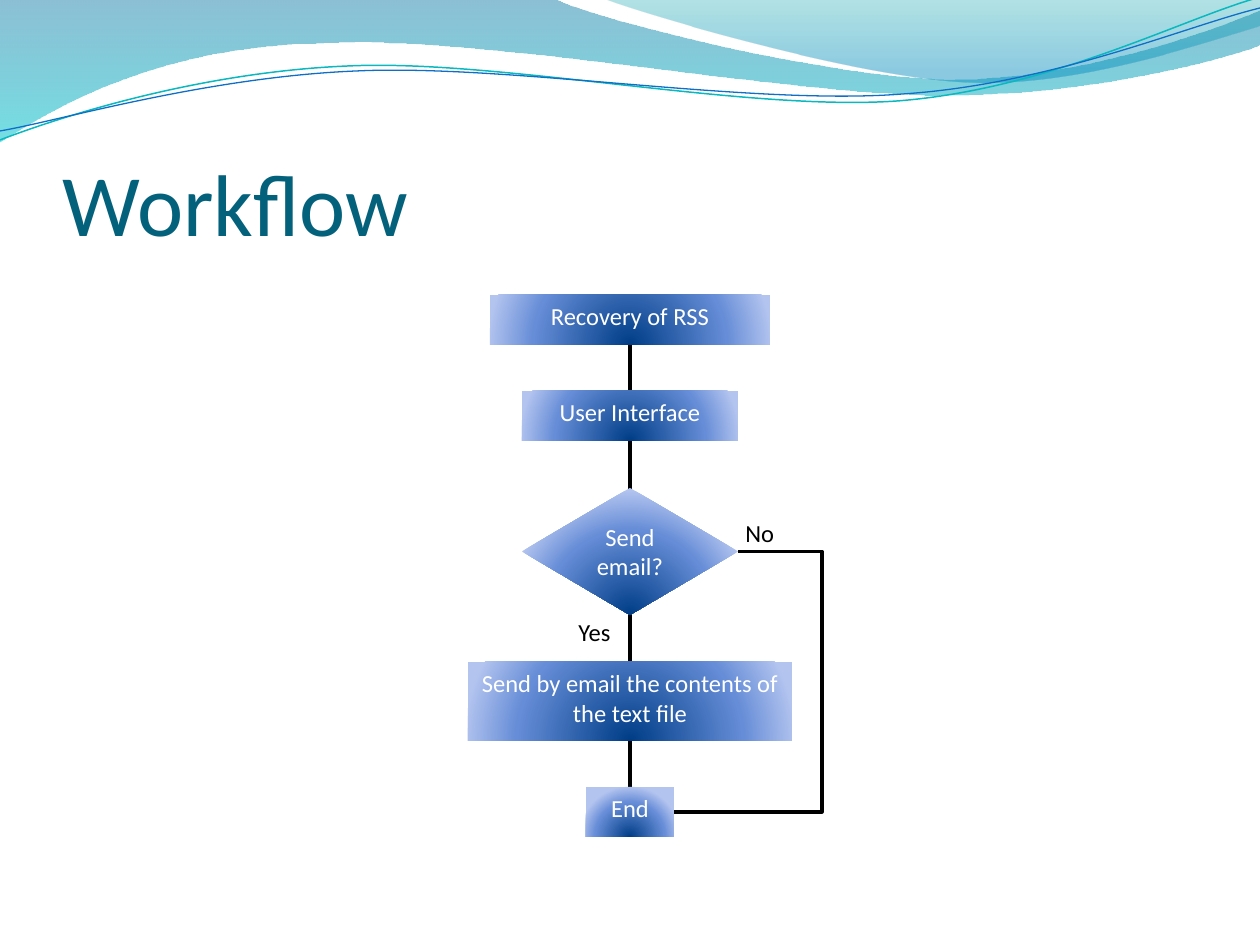
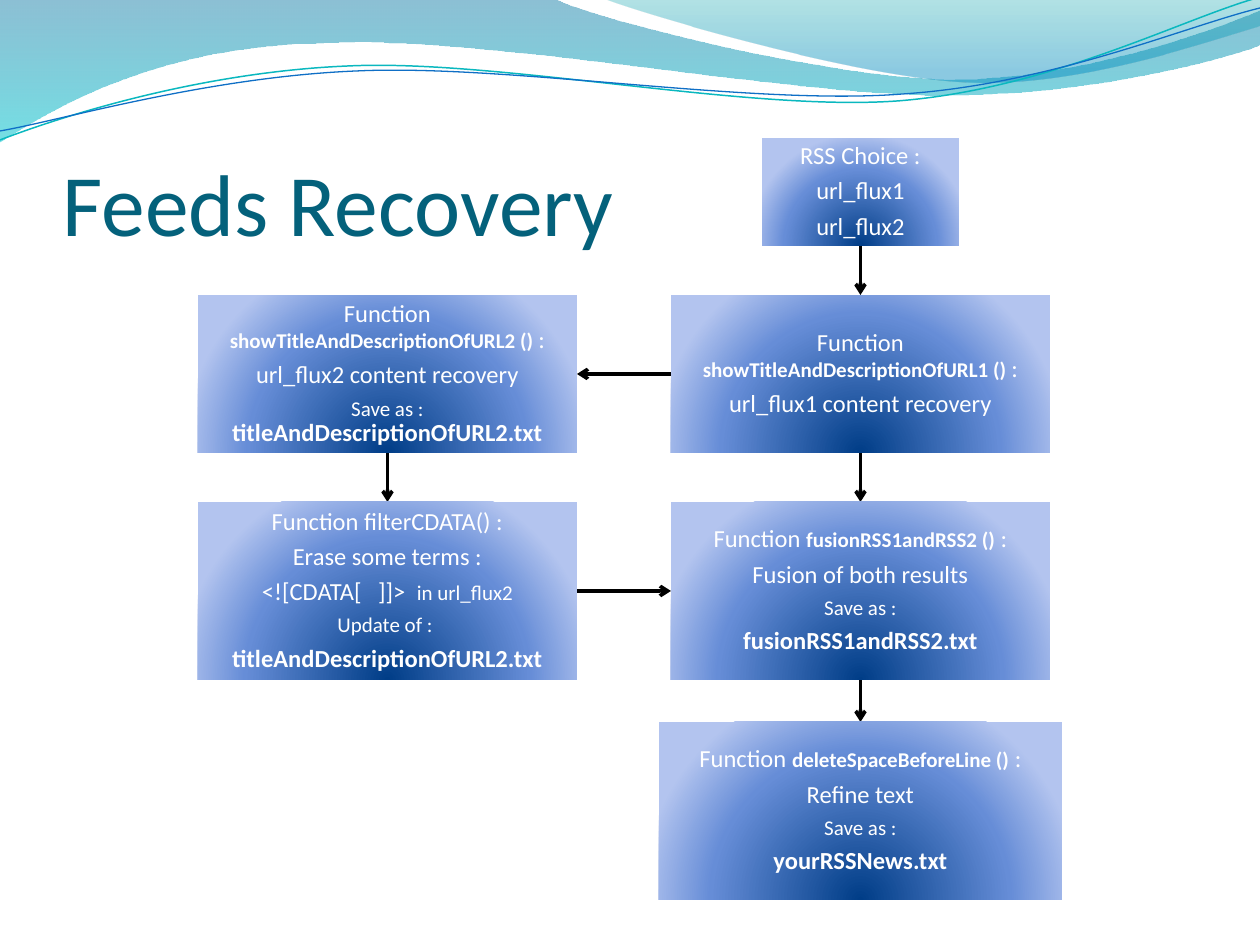
from dataclasses import dataclass

from lxml.etree import SubElement
from pptx import Presentation
from pptx.dml.color import RGBColor
from pptx.enum.shapes import MSO_CONNECTOR, MSO_SHAPE
from pptx.enum.text import MSO_ANCHOR, PP_ALIGN
from pptx.oxml import parse_xml
from pptx.oxml.ns import nsdecls, qn
from pptx.util import Inches, Pt


@dataclass(frozen=True)
class Theme:
    font: str = "Calibri"
    title: str = "04617B"
    text: str = "000000"
    box_text: str = "FFFFFF"
    connector: str = "000000"
    teal_line: str = "0AB8BF"
    blue_line: str = "0F6FC6"
    box_stops: tuple = ((0, "003D87", 100), (68, "668DD7", 100), (100, "B3C4EF", 100))
    wide_wave_stops: tuple = ((0, "0074A1", 45), (100, "00C6CF", 55))
    right_wave_stops: tuple = ((0, "00A1A9", 30), (80, "008BBF", 45))
    title_size: int = 50
    body_size: int = 14
    small_size: int = 12


THEME = Theme()
PX = Inches(10) // 1260
DOWNWARD = '<a:lin ang="5400000" scaled="1"/>'
GLOW_FROM_BELOW = (
    '<a:path path="circle"><a:fillToRect l="50000" t="130000" r="50000" b="-30000"/></a:path>'
)
TOP, LEFT, BOTTOM, RIGHT = range(4)


def fill_gradient(shape, stops, direction):
    stop_xml = "".join(
        f'<a:gs pos="{position * 1000}"><a:srgbClr val="{color}">'
        f'<a:alpha val="{alpha * 1000}"/></a:srgbClr></a:gs>'
        for position, color, alpha in stops
    )
    gradient = parse_xml(
        f'<a:gradFill {nsdecls("a")} rotWithShape="1">'
        f"<a:gsLst>{stop_xml}</a:gsLst>{direction}</a:gradFill>"
    )
    shape.fill.background()
    properties = shape.element.spPr
    properties.replace(properties.find(qn("a:noFill")), gradient)


def format_runs(paragraph, size, color):
    for run in paragraph.runs:
        run.font.name = THEME.font
        run.font.size = run.font.size or Pt(size)
        run.font.color.rgb = RGBColor.from_string(color)


waves = [
    ((0, 0), [
        [(554, -1)],
        [(600, 21), (837, 79), (955, 79)],
        [(1075, 79), (1207, 33), (1260, 11)],
        [(1261, 45)],
        [(1237, 55), (1096, 96), (940, 95)],
        [(784, 95), (481, 35), (324, 43)],
        [(163, 45), (58, 105), (-1, 142)],
    ], THEME.wide_wave_stops, None, 0),
    ((604, -1), [
        [(641, 14), (859, 78), (969, 82)],
        [(1079, 87), (1211, 40), (1260, 26)],
        [(1260, 0)],
    ], THEME.right_wave_stops, None, 0),
    ((0, 140), [
        [(60, 117), (199, 72), (349, 66)],
        [(498, 59), (747, 112), (898, 101)],
        [(1050, 89), (1182, 19), (1257, -2)],
    ], None, THEME.teal_line, 0.85),
    ((0, 131), [
        [(59, 121), (207, 77), (357, 71)],
        [(508, 64), (752, 106), (903, 94)],
        [(1053, 84), (1186, 26), (1260, 8)],
    ], None, THEME.blue_line, 0.75),
]

body = (THEME.body_size, False)
body_bold = (THEME.body_size, True)
small = (THEME.small_size, False)
small_bold = (THEME.small_size, True)

workflow_boxes = {
    "recovery": (MSO_SHAPE.RECTANGLE, 490, 295, 280, 50, [[("Recovery of RSS", body)]]),
    "interface": (MSO_SHAPE.RECTANGLE, 522, 391, 216, 50, [[("User Interface", body)]]),
    "decision": (MSO_SHAPE.DIAMOND, 522, 488, 216, 127, [[("Send email?", body)]]),
    "send": (MSO_SHAPE.RECTANGLE, 468, 662, 324, 79,
             [[("Send by email the contents of the text file", body)]]),
    "end": (MSO_SHAPE.RECTANGLE, 586, 787, 88, 50, [[("End", body)]]),
}
feed_boxes = {
    "choice": (MSO_SHAPE.RECTANGLE, 762, 138, 197, 108, [
        [("RSS Choice :", body)],
        [("url_flux1", body)],
        [("url_flux2", body)],
    ]),
    "first": (MSO_SHAPE.RECTANGLE, 671, 295, 379, 158, [
        [("Function ", body), ("showTitleAndDescriptionOfURL1 () ", small_bold), (":", body)],
        [("url_flux1 content recovery", body)],
    ]),
    "filter": (MSO_SHAPE.RECTANGLE, 198, 502, 379, 178, [
        [("Function filterCDATA() :", body)],
        [("Erase some terms :", body)],
        [("<![CDATA[   ]]>  ", body), ("in url_flux2", small)],
        [("Update of : ", small)],
        [("titleAndDescriptionOfURL2.txt", body_bold)],
    ]),
    "second": (MSO_SHAPE.RECTANGLE, 198, 295, 379, 158, [
        [("Function ", body), ("showTitleAndDescriptionOfURL2 () ", small_bold), (":", body)],
        [("url_flux2 content recovery", body)],
        [("Save as : ", small), ("titleAndDescriptionOfURL2.txt", body_bold)],
    ]),
    "fusion": (MSO_SHAPE.RECTANGLE, 671, 502, 379, 178, [
        [("Function ", body), ("fusionRSS1andRSS2 ()", small_bold), (" :", body)],
        [("Fusion of both results", body)],
        [("Save as :", small)],
        [("fusionRSS1andRSS2.txt", body_bold)],
    ]),
    "refine": (MSO_SHAPE.RECTANGLE, 659, 722, 403, 178, [
        [("Function ", body), ("deleteSpaceBeforeLine ()", small_bold), (" :", body)],
        [("Refine text", body)],
        [("Save as :", small)],
        [("yourRSSNews.txt", body_bold)],
    ]),
}
workflow_links = [
    ("recovery", BOTTOM, "end", TOP, MSO_CONNECTOR.STRAIGHT),
    ("decision", RIGHT, "end", RIGHT, MSO_CONNECTOR.ELBOW),
]
feed_links = [
    ("choice", BOTTOM, "first", TOP, MSO_CONNECTOR.STRAIGHT),
    ("first", LEFT, "second", RIGHT, MSO_CONNECTOR.STRAIGHT),
    ("first", BOTTOM, "fusion", TOP, MSO_CONNECTOR.STRAIGHT),
    ("second", BOTTOM, "filter", TOP, MSO_CONNECTOR.STRAIGHT),
    ("filter", RIGHT, "fusion", LEFT, MSO_CONNECTOR.STRAIGHT),
    ("fusion", BOTTOM, "refine", TOP, MSO_CONNECTOR.STRAIGHT),
]
workflow_labels = [("Yes", 566, 611, 59, 43), ("No", 733, 512, 54, 43)]
slides = [
    ("Workflow", workflow_boxes, workflow_links, workflow_labels, False),
    ("Feeds Recovery", feed_boxes, feed_links, [], True),
]

presentation = Presentation()
presentation.slide_width = 1260 * PX
presentation.slide_height = 945 * PX

for title, boxes, links, labels, is_detailed in slides:
    slide = presentation.slides.add_slide(presentation.slide_layouts[6])

    for start, segments, stops, line_color, line_width in waves:
        builder = slide.shapes.build_freeform(start[0] * PX, start[1] * PX, scale=1.0)
        for segment in segments:
            builder.add_line_segments([(x * PX, y * PX) for x, y in segment], close=False)
        if stops:
            builder.add_line_segments([], close=True)
        wave = builder.convert_to_shape()
        straight_lines = iter(list(wave.element.iter(qn("a:lnTo"))))
        for segment in segments:
            pieces = [next(straight_lines) for _ in segment]
            if len(pieces) == 3:
                curve = parse_xml(f'<a:cubicBezTo {nsdecls("a")}/>')
                pieces[0].addprevious(curve)
                for piece in pieces:
                    curve.append(piece[0])
                    piece.getparent().remove(piece)
        wave.shadow.inherit = False
        if stops:
            fill_gradient(wave, stops, DOWNWARD)
            wave.line.fill.background()
        else:
            wave.fill.background()
            wave.line.color.rgb = RGBColor.from_string(line_color)
            wave.line.width = Pt(line_width)

    title_box = slide.shapes.add_textbox(63 * PX, 97 * PX, 1134 * PX, 157 * PX)
    text_frame = title_box.text_frame
    text_frame.text = title
    text_frame.word_wrap = True
    text_frame.vertical_anchor = MSO_ANCHOR.BOTTOM
    text_frame.margin_left = text_frame.margin_right = text_frame.margin_bottom = 0
    format_runs(text_frame.paragraphs[0], THEME.title_size, THEME.title)

    shapes = {}
    for name, (kind, left, top, width, height, lines) in boxes.items():
        box = slide.shapes.add_shape(kind, left * PX, top * PX, width * PX, height * PX)
        box.shadow.inherit = False
        box.line.fill.background()
        fill_gradient(box, THEME.box_stops, GLOW_FROM_BELOW)
        text_frame = box.text_frame
        text_frame.word_wrap = True
        is_centered = is_detailed or kind == MSO_SHAPE.DIAMOND
        text_frame.vertical_anchor = MSO_ANCHOR.MIDDLE if is_centered else MSO_ANCHOR.TOP
        if is_detailed:
            text_frame.margin_left = text_frame.margin_right = 29 * PX
            text_frame.margin_top = text_frame.margin_bottom = 29 * PX
        text_frame.text = "\n".join("" for _ in lines)
        for paragraph, line in zip(text_frame.paragraphs, lines):
            paragraph.alignment = PP_ALIGN.CENTER
            for text, (size, bold) in line:
                run = paragraph.add_run()
                run.text = text
                run.font.size = Pt(size)
                run.font.bold = bold
            format_runs(paragraph, THEME.body_size, THEME.box_text)
            if is_detailed:
                paragraph.line_spacing = 0.9
                paragraph.space_after = Pt(5)
        shapes[name] = box

    first_box = next(iter(shapes.values()))
    for source, source_side, target, target_side, kind in links:
        connector = slide.shapes.add_connector(kind, 0, 0, 0, 0)
        connector.begin_connect(shapes[source], source_side)
        connector.end_connect(shapes[target], target_side)
        connector.line.color.rgb = RGBColor.from_string(THEME.connector)
        connector.line.width = Pt(2)
        properties = connector.element.spPr
        if is_detailed:
            SubElement(properties.find(qn("a:ln")), qn("a:tailEnd"), type="arrow")
        if kind == MSO_CONNECTOR.ELBOW:
            geometry = properties.find(qn("a:prstGeom"))
            adjustments = geometry.find(qn("a:avLst"))
            SubElement(adjustments, qn("a:gd"), name="adj1", fmla="val -131250")
        SubElement(properties, qn("a:effectLst"))
        first_box.element.addprevious(connector.element)

    for text, left, top, width, height in labels:
        label = slide.shapes.add_textbox(left * PX, top * PX, width * PX, height * PX)
        label.text_frame.text = text
        label.text_frame.word_wrap = False
        format_runs(label.text_frame.paragraphs[0], THEME.body_size, THEME.text)

presentation.save("out.pptx")
